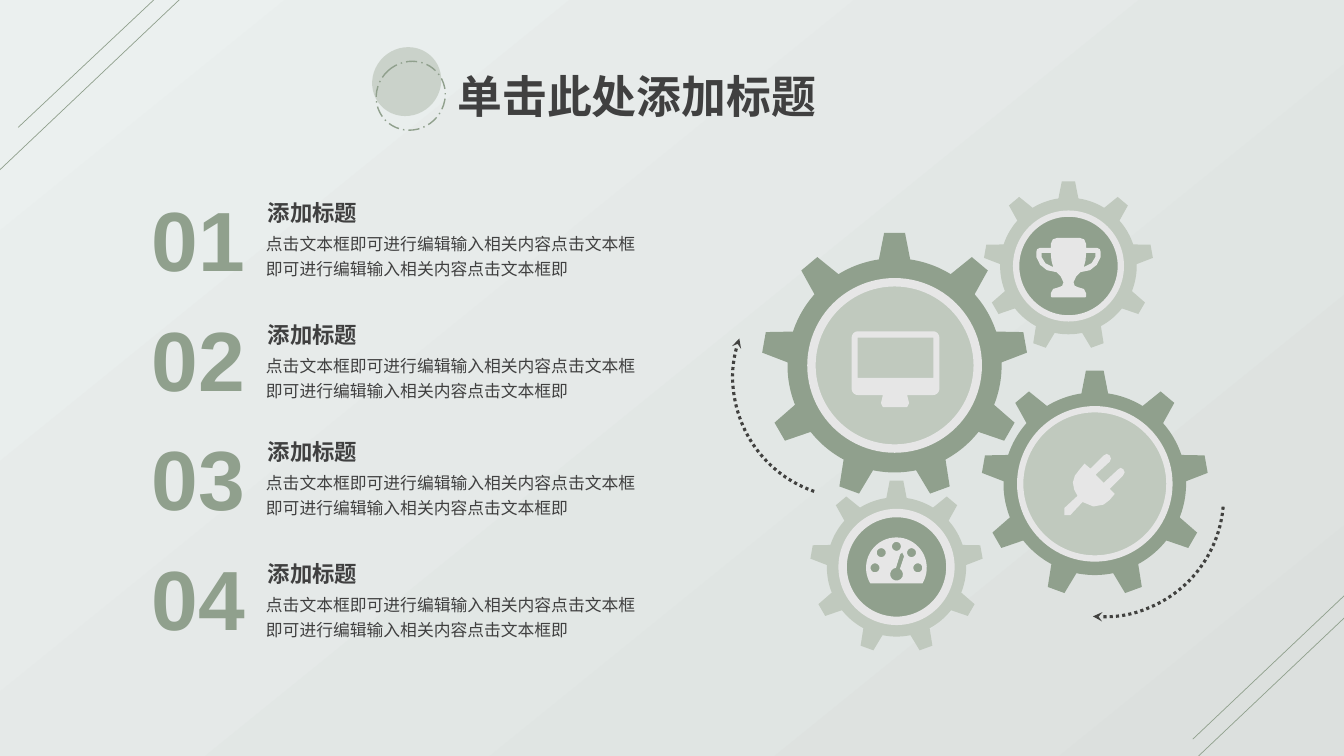
"""Build a slide with four numbered points beside four interlocking gears."""
from math import cos, radians, sin

from lxml.etree import SubElement
from pptx import Presentation
from pptx.dml.color import RGBColor
from pptx.enum.dml import MSO_LINE as DASH
from pptx.enum.shapes import MSO_CONNECTOR as CONNECTOR, MSO_SHAPE as SHAPE
from pptx.enum.text import MSO_ANCHOR as ANCHOR, PP_ALIGN as ALIGN
from pptx.oxml.ns import qn
from pptx.util import Pt

COLORS = {name: RGBColor.from_string(value) for name, value in {
    "sage": "90A08D", "mist": "C0C9BE", "pale": "E6E6E6", "text": "404040",
    "arrow": "41413F", "light": "EBF0EF", "shade": "DCE0DE"}.items()}
CJK = "Noto Sans CJK SC"

deck = Presentation()
deck.slide_width, deck.slide_height = Pt(960), Pt(540)
page = deck.slides.add_slide(deck.slide_layouts[6])
shapes = page.shapes


def arc(x, y, radius, start, end, steps=12):
    """Return points along an arc, with angles clockwise from the right."""
    angles = [radians(start + (end - start) * i / steps) for i in range(steps + 1)]
    return [(x + radius * cos(a), y + radius * sin(a)) for a in angles]


def add_text(text, left, top, width, height, size, color, font=CJK, bold=False):
    """Add a one-paragraph text box and return its frame and paragraph."""
    frame = shapes.add_textbox(Pt(left), Pt(top), Pt(width), Pt(height)).text_frame
    frame.word_wrap = True
    para = frame.paragraphs[0]
    para.text = text
    para.font.name, para.font.size, para.font.bold = font, Pt(size), bold
    para.font.color.rgb = COLORS[color]
    SubElement(para.font._element, qn("a:ea")).set("typeface", font)
    return frame, para


backdrop = shapes.add_shape(SHAPE.RECTANGLE, 0, 0, Pt(960), Pt(540))
backdrop.shadow.inherit = False
backdrop.line.fill.background()
backdrop.fill.gradient()
backdrop.fill.gradient_angle = 309
for stop, position, color in zip(backdrop.fill.gradient_stops, (0, 1), ("light", "shade")):
    stop.position = position
    stop.color.rgb = COLORS[color]

for x1, y1, x2, y2 in [(130, -2, -4, 125), (147, -35, 13, 91),
                       (968, 434, 834, 561), (985, 402, 852, 528)]:
    stripe = shapes.add_connector(CONNECTOR.STRAIGHT, Pt(x1), Pt(y1), Pt(x2), Pt(y2))
    stripe.line.color.rgb = COLORS["sage"]
    stripe.line.width = Pt(0.5)
    SubElement(stripe._element.spPr, qn("a:effectLst"))

title_frame, title = add_text("单击此处添加标题", 319.7, 45.4, 356, 46, 32, "text", bold=True)
title.alignment = ALIGN.JUSTIFY

for left, top, filled in [(266.4, 33.1, True), (269.3, 43.2, False)]:
    badge = shapes.add_shape(SHAPE.OVAL, Pt(left), Pt(top), Pt(48.2), Pt(50.4))
    badge.shadow.inherit = False
    badge.rotation = 47
    if filled:
        badge.fill.solid()
        badge.fill.fore_color.rgb = COLORS["mist"]
        tint = badge.fill._xPr.find(".//" + qn("a:srgbClr"))
        SubElement(tint, qn("a:alpha")).set("val", "74000")
        badge.line.fill.background()
    else:
        badge.fill.background()
        badge.line.color.rgb = COLORS["sage"]
        badge.line.width = Pt(1)
        badge.line.dash_style = DASH.LONG_DASH_DOT

monitor = [
    arc(612.9, 241.2, 4.5, 180, 270) + arc(666.5, 241.2, 4.5, 270, 360)
    + arc(666.5, 277.7, 4.5, 0, 90)
    + [(648, 282.2), (649.4, 288), (648, 290.9), (630.7, 290.9), (629.3, 288), (630.7, 282.2)]
    + arc(612.9, 277.7, 4.5, 90, 180),
    [(612.7, 241.2), (666.7, 241.2), (666.7, 270), (612.7, 270)]]

cup_half = [(8, 169.9), (11.2, 171), (12.6, 174.2), (12.6, 177.1), (20.5, 177.1),
            (22.4, 178), (23, 180), (23, 183.6), (20.2, 189.2), (15.4, 193), (8.6, 194.4),
            (5.6, 197.3), (3.6, 201.6), (4.5, 204.2), (7, 205.2), (11, 206.4),
            (12.6, 209.5), (12.6, 211.7), (12, 212.4)]
handle_hole = [(12.6, 180.7), (19.2, 180.7), (19.2, 183.6), (16.5, 188), (10.9, 190.8), (12.2, 186)]
trophy = [[(763.2 + x, y) for x, y in cup_half] + [(763.2 - x, y) for x, y in cup_half[::-1]]]
trophy += [[(763.2 + side * x, y) for x, y in handle_hole] for side in (-1, 1)]

needle = arc(640.4, 410.2, 4.6, -58, 265) + [(643, 396), (644.4, 394.6), (645.8, 397.4)]
gauge = [arc(640.3, 405.6, 21.7, 149, 391, 36), needle]
for angle in range(180, 361, 45):
    dot_x, dot_y = arc(640.3, 405.6, 15.3, angle, angle, 1)[0]
    gauge.append(arc(dot_x, dot_y, 3.2, 0, 360, 20))

plug = [[(802.1, 339.8), (792.7, 349.2), (796.3, 352.8), (792.7, 357.1), (788.3, 360.5),
         (781, 361.8), (773.3, 358.6), (764.6, 367.9), (760.3, 367.9), (760.3, 362.9),
         (769.7, 354.2), (767.3, 349.7), (766.4, 344.6), (767.8, 339.8), (771.1, 335.5),
         (774.7, 331.2), (779, 334.8), (788.4, 325.4), (790.6, 324.2), (792.7, 325.4),
         (793.6, 327.6), (792.7, 329.8), (782.6, 339.1), (788.4, 344.9), (798.5, 335.5),
         (800.5, 334.2), (802.4, 335.2), (803.4, 337.4)]]

gears = [(639, 261, 95, 59.4, 6, "sage", "mist", monitor),
         (782, 345.6, 81, 53.3, 4.5, "sage", "mist", plug),
         (640.4, 405, 61.8, 38.5, 6, "mist", "sage", gauge),
         (763.2, 190, 60.6, 37.4, 4.5, "mist", "sage", trophy)]
for x, y, tip, hub, rim, gear_color, hub_color, icon in gears:
    gear = []
    for tooth in range(-90, 270, 40):
        gear += arc(x, y, tip, tooth - 4.5, tooth + 4.5, 1)
        gear += arc(x, y, tip * 0.805, tooth + 8.4, tooth + 31.6)
    for contours, color in [([gear], gear_color), (icon, "pale")]:
        builder = None
        for contour in contours:
            points = [(Pt(px), Pt(py)) for px, py in contour]
            if builder is None:
                builder = shapes.build_freeform(*points[0])
            else:
                builder.move_to(*points[0])
            builder.add_line_segments(points[1:], close=True)
        outline = builder.convert_to_shape()
        outline.shadow.inherit = False
        outline.fill.solid()
        outline.fill.fore_color.rgb = COLORS[color]
        outline.line.fill.background()
        if contours is not icon:
            disc = shapes.add_shape(SHAPE.OVAL, Pt(x - hub), Pt(y - hub), Pt(2 * hub), Pt(2 * hub))
            disc.shadow.inherit = False
            disc.fill.solid()
            disc.fill.fore_color.rgb = COLORS[hub_color]
            disc.line.color.rgb = COLORS["pale"]
            disc.line.width = Pt(rim)

for left, top, turn in [(523.4, 183.6, 198.9), (702, 268.6, 94.9)]:
    sweep = shapes.add_shape(SHAPE.ARC, Pt(left), Pt(top), Pt(172), Pt(172))
    sweep.shadow.inherit = False
    sweep.rotation = turn
    sweep.fill.background()
    sweep.line.color.rgb = COLORS["arrow"]
    sweep.line.width = Pt(2.25)
    sweep.line.dash_style = DASH.ROUND_DOT
    SubElement(sweep.line._ln, qn("a:tailEnd")).set("type", "stealth")

for row, top in enumerate([139, 226, 309.6, 396.7]):
    frame, number = add_text(f"0{row + 1}", 108, 133 + 85.5 * row, 67, 73, 60, "sage", "Arial", True)
    frame.margin_left = frame.margin_right = frame.margin_top = frame.margin_bottom = 0
    frame.word_wrap = False
    frame.vertical_anchor = ANCHOR.BOTTOM
    number.alignment = ALIGN.CENTER
    add_text("添加标题", 184.3, top, 187, 26.6, 16, "text", bold=True)
    body_frame, body = add_text("点击文本框即可进行编辑输入相关内容点击文本框即可进行编辑输入相关内容点击文本框即",
                                182.9, top + 20.9, 284.4, 44, 12, "text")
    body.line_spacing = 1.25

deck.save("out.pptx")
